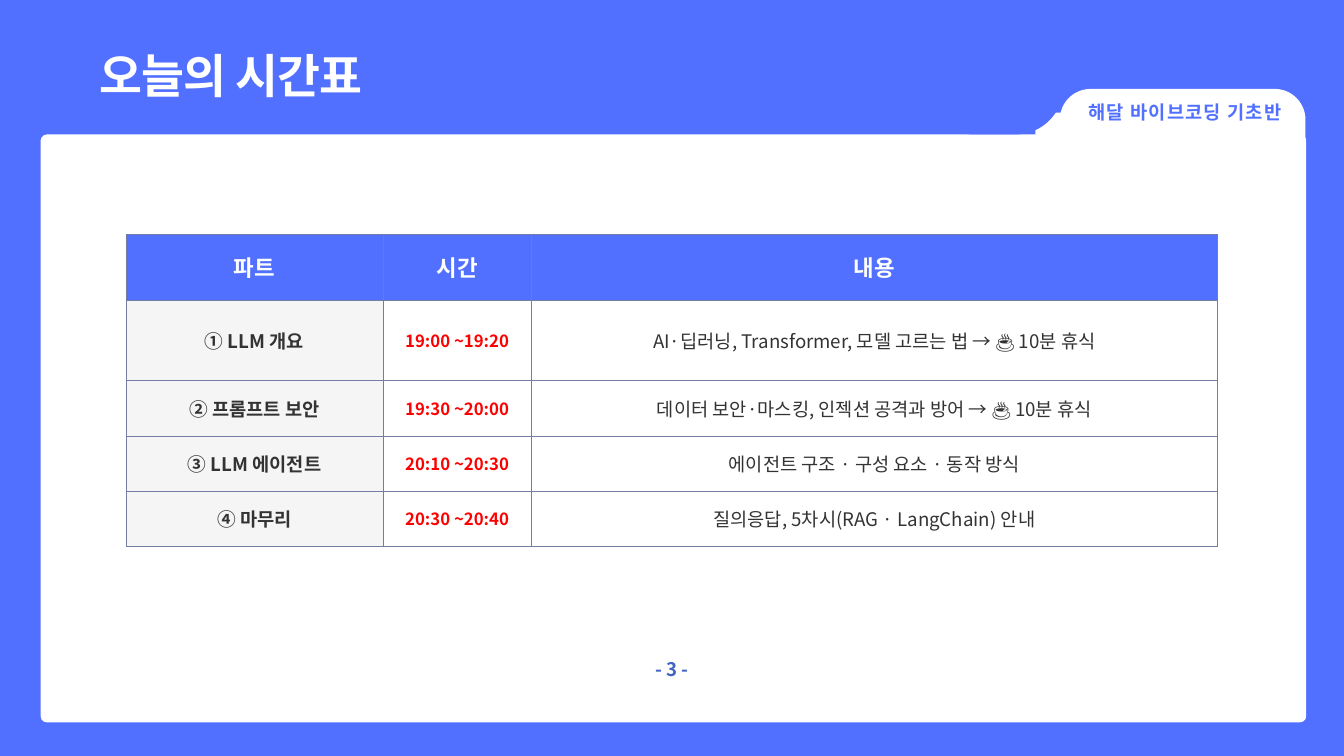
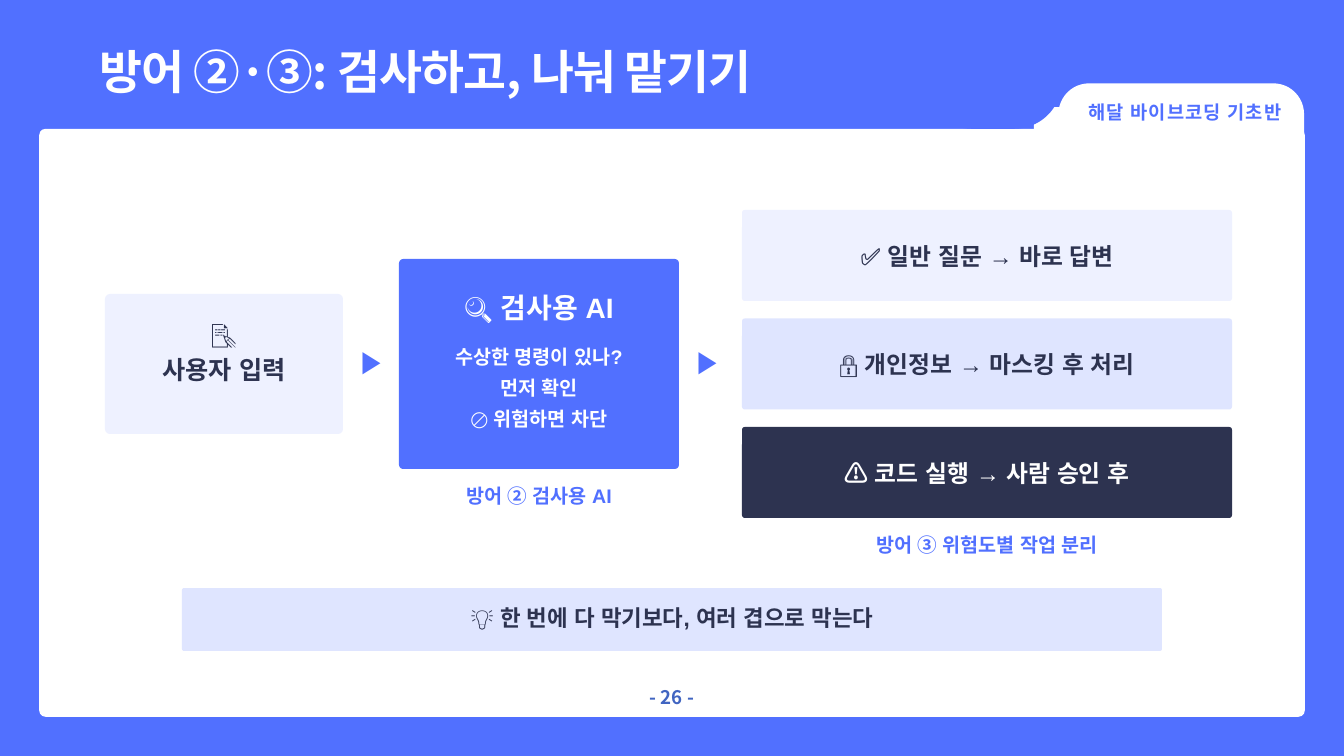
from dataclasses import dataclass

from lxml import etree
from pptx import Presentation
from pptx.dml.color import RGBColor
from pptx.enum.shapes import MSO_SHAPE
from pptx.enum.text import MSO_ANCHOR, MSO_AUTO_SIZE, PP_ALIGN
from pptx.oxml.ns import qn
from pptx.util import Emu, Pt

ROUNDED = MSO_SHAPE.ROUNDED_RECTANGLE
RECTANGLE = MSO_SHAPE.RECTANGLE
LEFT = PP_ALIGN.LEFT
CENTER = PP_ALIGN.CENTER
MIDDLE = MSO_ANCHOR.MIDDLE
GROW = MSO_AUTO_SIZE.SHAPE_TO_FIT_TEXT

EMU_PER_PX = 9525
SLIDE_WIDTH, SLIDE_HEIGHT = 1920, 1080
NOTO = "Noto Sans CJK KR"
ARIAL = "Arial"
COLORS = {
    "blue": "5170FF",
    "white": "FFFFFF",
    "header text": "FEFEFE",
    "navy": "2D3350",
    "pale": "EEF1FF",
    "soft": "DFE5FF",
    "page": "4165C1",
    "body": "333333",
    "red": "FF0000",
    "part": "F5F5F5",
    "border": "747EA3",
}


@dataclass(frozen=True)
class Box:
    left: int
    top: int
    width: int
    height: int

    def inset(self, dx: int, dy: int, height: int) -> "Box":
        return Box(self.left + dx, self.top + dy, self.width - 2 * dx, height)


@dataclass(frozen=True)
class Style:
    size: float
    color: str
    leading: float
    font: str = ARIAL
    bold: bool = True
    tracking: int = 0
    align: PP_ALIGN = CENTER


@dataclass(frozen=True)
class Frame:
    """What differs between the two slides' shared frame."""
    title: str
    title_top: int
    panel_left: int
    panel_top: int
    page: int
    page_top: int


@dataclass(frozen=True)
class Route:
    text: str
    fill: str
    text_color: str


TITLE = Style(50, "white", 51, NOTO, tracking=-100, align=LEFT)
COURSE = Style(20, "blue", 25.4, NOTO, tracking=120)
PAGE = Style(20, "page", 28, NOTO)
TABLE_HEADER = Style(24, "header text", 33.6, NOTO)
TABLE_COLUMNS = (
    Style(20, "body", 28, NOTO),
    Style(18, "red", 25.2, NOTO),
    Style(20, "body", 28, NOTO, bold=False),
)
ARROW = Style(33, "blue", 46.2, bold=False)
CAPTION = Style(21, "blue", 29.4)

COLUMN_WIDTHS = (367, 212, 980)
ROW_HEIGHTS = (94, 115, 79, 79, 79)
TIMETABLE = (
    ("파트", "시간", "내용"),
    ("① LLM 개요", "19:00 ~19:20", "AI·딥러닝, Transformer, 모델 고르는 법 → 🍵 10분 휴식"),
    ("② 프롬프트 보안", "19:30 ~20:00", "데이터 보안·마스킹, 인젝션 공격과 방어 → 🍵 10분 휴식"),
    ("③ LLM 에이전트", "20:10 ~20:30", "에이전트 구조 · 구성 요소 · 동작 방식"),
    ("④ 마무리", "20:30 ~20:40", "질의응답, 5차시(RAG · LangChain) 안내"),
)

ROUTE_PITCH = 155
ROUTES = (
    Route("✅ 일반 질문 → 바로 답변", "pale", "navy"),
    Route("🔒 개인정보 → 마스킹 후 처리", "soft", "navy"),
    Route("⚠️ 코드 실행 → 사람 승인 후", "navy", "white"),
)


def px(value: int) -> Emu:
    return Emu(value * EMU_PER_PX)


def rgb(name: str) -> RGBColor:
    return RGBColor.from_string(COLORS[name])


def place(box: Box) -> tuple:
    return px(box.left), px(box.top), px(box.width), px(box.height)


def write(text_frame, text: str, style: Style) -> None:
    text_frame.text = text
    for paragraph in text_frame.paragraphs:
        paragraph.alignment = style.align
        paragraph.line_spacing = Pt(style.leading)
        for run in paragraph.runs:
            run.font.name = style.font
            run.font.size = Pt(style.size)
            run.font.bold = style.bold
            run.font.color.rgb = rgb(style.color)
            properties = run.font._element
            etree.SubElement(properties, qn("a:ea"), typeface=style.font)
            if style.tracking:
                properties.set("spc", str(style.tracking))


def add_text(slide, box: Box, text: str, style: Style) -> None:
    text_frame = slide.shapes.add_textbox(*place(box)).text_frame
    text_frame.margin_left = text_frame.margin_right = 0
    text_frame.margin_top = text_frame.margin_bottom = 0
    text_frame.word_wrap = True
    text_frame.auto_size = GROW
    write(text_frame, text, style)


def add_block(slide, box: Box, fill: str, radius: int = 0) -> None:
    shape = slide.shapes.add_shape(ROUNDED if radius else RECTANGLE, *place(box))
    if radius:
        shape.adjustments[0] = radius / min(box.width, box.height)
    shape.shadow.inherit = False
    shape.fill.solid()
    shape.fill.fore_color.rgb = rgb(fill)
    shape.line.fill.background()


def add_framed_slide(presentation, frame: Frame):
    slide = presentation.slides.add_slide(presentation.slide_layouts[6])
    slide.background.fill.solid()
    slide.background.fill.fore_color.rgb = rgb("blue")

    # White panel with its folder tab; the blue pill carves the tab's curve
    left, top = frame.panel_left, frame.panel_top
    add_block(slide, Box(left, top, 1808, 840), "white", 9)
    add_block(slide, Box(left + 1456, top - 65, 351, 268), "white", 44)
    add_block(slide, Box(left + 1421, top - 31, 188, 147), "white")
    add_block(slide, Box(left + 1264, top - 136, 197, 136), "blue", 68)

    # Title, course name and page number
    add_text(slide, Box(142, frame.title_top, 1291, 74), frame.title, TITLE)
    add_text(slide, Box(1543, 142, 300, 35), "해달 바이브코딩 기초반", COURSE)
    add_text(slide, Box(880, frame.page_top, 160, 37), f"- {frame.page} -", PAGE)
    return slide


def add_borders(cell) -> None:
    properties = cell._tc.get_or_add_tcPr()
    for index, side in enumerate(("lnL", "lnR", "lnT", "lnB")):
        line = etree.Element(qn(f"a:{side}"), w=str(Pt(0.75)))
        fill = etree.SubElement(line, qn("a:solidFill"))
        etree.SubElement(fill, qn("a:srgbClr"), val=COLORS["border"])
        properties.insert(index, line)


def format_cell(cell, text: str, row: int, column: int) -> None:
    cell.margin_left = cell.margin_right = px(20)
    cell.margin_top = cell.margin_bottom = px(20)
    cell.vertical_anchor = MIDDLE
    if row == 0 or column == 0:
        cell.fill.solid()
        cell.fill.fore_color.rgb = rgb("part" if row else "blue")
    else:
        cell.fill.background()
    write(cell.text_frame, text, TABLE_COLUMNS[column] if row else TABLE_HEADER)
    add_borders(cell)


def build_timetable(presentation) -> None:
    slide = add_framed_slide(presentation, Frame("오늘의 시간표", 79, 58, 192, 3, 934))
    box = Box(180, 335, sum(COLUMN_WIDTHS), sum(ROW_HEIGHTS))
    table = slide.shapes.add_table(
        len(ROW_HEIGHTS), len(COLUMN_WIDTHS), *place(box)).table
    for column, width in zip(table.columns, COLUMN_WIDTHS):
        column.width = px(width)
    for row, height in zip(table.rows, ROW_HEIGHTS):
        row.height = px(height)
    for row, texts in enumerate(TIMETABLE):
        for column, text in enumerate(texts):
            format_cell(table.cell(row, column), text, row, column)


def build_defence(presentation) -> None:
    slide = add_framed_slide(
        presentation, Frame("방어 ②·③: 검사하고, 나눠 맡기기", 73, 56, 184, 26, 974))

    # User input
    user = Box(150, 420, 340, 200)
    add_block(slide, user, "pale", 7)
    add_text(slide, user.inset(0, 28, 100), "📝\n사용자 입력", Style(27, "navy", 37.8))

    # Checking AI
    checker = Box(570, 370, 400, 300)
    add_block(slide, checker, "blue", 6)
    add_text(slide, checker.inset(0, 37, 56), "🔍 검사용 AI", Style(30, "white", 42))
    add_text(slide, checker.inset(20, 111, 130),
             "수상한 명령이 있나?\n먼저 확인\n🚫 위험하면 차단", Style(21, "white", 33.6))
    add_text(slide, checker.inset(0, 315, 38), "방어 ② 검사용 AI", CAPTION)

    # Arrows between the stages
    for stage in (user, checker):
        add_text(slide, Box(stage.left + stage.width + 10, 480, 60, 62), "▶", ARROW)

    # Routes by risk
    for index, route in enumerate(ROUTES):
        box = Box(1060, 300 + index * ROUTE_PITCH, 700, 130)
        add_block(slide, box, route.fill, 4)
        add_text(slide, box.inset(0, 38, 46), route.text,
                 Style(25.5, route.text_color, 35.7))
    add_text(slide, Box(1060, 755, 700, 38), "방어 ③ 위험도별 작업 분리", CAPTION)

    # Takeaway
    takeaway = Box(260, 840, 1400, 90)
    add_block(slide, takeaway, "soft", 3)
    add_text(slide, takeaway.inset(0, 17, 43),
             "💡 한 번에 다 막기보다, 여러 겹으로 막는다", Style(24, "navy", 33.6))


def main() -> None:
    presentation = Presentation()
    presentation.slide_width = px(SLIDE_WIDTH)
    presentation.slide_height = px(SLIDE_HEIGHT)
    build_timetable(presentation)
    build_defence(presentation)
    presentation.save("out.pptx")


if __name__ == "__main__":
    main()
